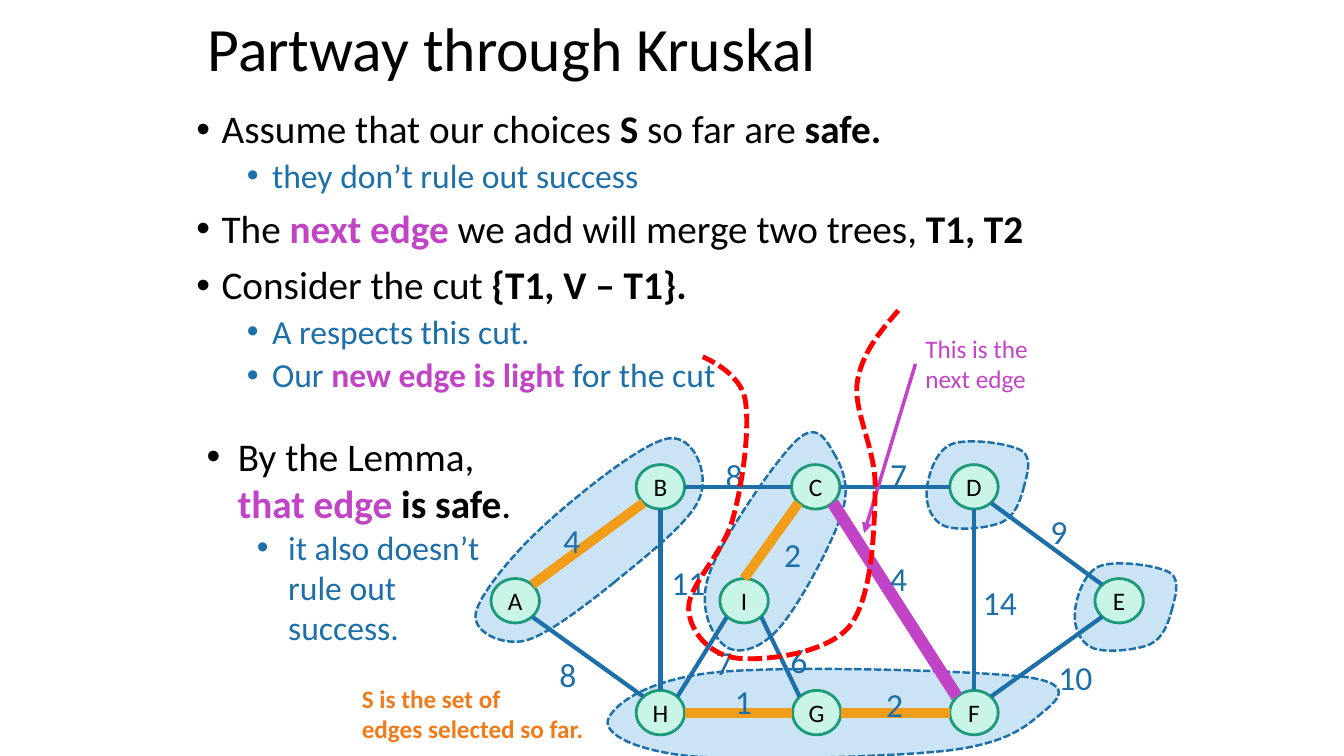
from lxml.etree import SubElement
from pptx import Presentation
from pptx.dml.color import RGBColor
from pptx.enum.dml import MSO_LINE
from pptx.enum.shapes import MSO_CONNECTOR, MSO_SHAPE
from pptx.enum.text import MSO_ANCHOR, PP_ALIGN
from pptx.oxml.ns import qn
from pptx.util import Emu, Pt

PX = 9144  # 100 px to the inch
FONT = "Calibri"
BLACK = RGBColor(0x00, 0x00, 0x00)
BLUE = RGBColor(0x1D, 0x6F, 0xA9)
PALE_BLUE = RGBColor(0xCA, 0xE4, 0xF6)
MINT = RGBColor(0xC8, 0xF5, 0xE8)
GREEN = RGBColor(0x1D, 0x9A, 0x78)
PURPLE = RGBColor(0xC2, 0x44, 0xC6)
AMBER = RGBColor(0xF1, 0x9D, 0x19)
ORANGE = RGBColor(0xF0, 0x7B, 0x1A)
RED = RGBColor(0xFF, 0x00, 0x00)

NODE_W, NODE_H = 48, 44
NODES = {"D": (566, 83), "C": (409, 83), "B": (255, 83), "A": (111, 196), "H": (255, 307),
         "G": (410, 307), "F": (566, 307), "I": (338, 196), "E": (710, 196)}
# Where edges meet a node, from its centre
PORTS = {"n": (0, -22), "s": (0, 22), "w": (-24, 0), "e": (24, 0),
         "nw": (-17, -16), "ne": (17, -16), "sw": (-17, 16), "se": (17, 16)}
PLAIN, CHOSEN, NEXT = (BLUE, 3), (AMBER, 7), (PURPLE, 8.75)
# Start, its port, end, its port, weight, label place, style
EDGES = [
    ("C", "se", "F", "nw", 4, (473, 149), NEXT), ("C", "e", "D", "w", 7, (473, 45), PLAIN),
    ("E", "nw", "D", "se", 9, (632, 102), PLAIN), ("E", "sw", "F", "ne", 10, (640, 247), PLAIN),
    ("D", "s", "F", "n", 14, (565, 172), PLAIN), ("I", "se", "G", "nw", 6, (374, 230), PLAIN),
    ("G", "e", "F", "w", 2, (469, 274), CHOSEN), ("I", "n", "C", "sw", 2, (368, 125), CHOSEN),
    ("B", "e", "C", "w", 8, (310, 46), PLAIN), ("A", "ne", "B", "sw", 4, (149, 111), CHOSEN),
    ("A", "se", "H", "nw", 8, (145, 244), PLAIN), ("G", "w", "H", "e", 1, (319, 271), CHOSEN),
    ("I", "sw", "H", "ne", 7, (300, 232), PLAIN), ("H", "n", "B", "s", 11, (256, 153), PLAIN),
]
# Bézier outlines: a start, then two handles and an end for each piece
SINGLE_TREE = [(52, 10), (55, -2), (62, -21), (50, -28), (38, -35), (-4, -41), (-20, -34), (-36, -27),
               (-43, -1), (-44, 12), (-45, 26), (-39, 42), (-26, 47), (-14, 52), (18, 49), (31, 43),
               (44, 37), (49, 21), (52, 10)]
TREE_IC = [(429, 53), (421, 40), (412, 17), (391, 36), (370, 55), (316, 134), (304, 168), (291, 202),
           (306, 230), (318, 240), (329, 250), (352, 246), (371, 225), (391, 204), (425, 140),
           (434, 112), (444, 84), (436, 66), (429, 53)]
TREE_AB = [(209, 178), (238, 154), (285, 118), (294, 94), (304, 70), (288, 31), (263, 35), (237, 39),
           (173, 91), (141, 120), (110, 148), (76, 189), (72, 208), (68, 227), (97, 240), (119, 236),
           (140, 232), (179, 202), (209, 178)]
TREE_HGF = [(629, 311), (643, 299), (673, 280), (620, 272), (567, 265), (379, 260), (310, 267),
            (240, 274), (208, 300), (203, 314), (199, 328), (228, 344), (283, 350), (338, 355),
            (479, 351), (536, 345), (593, 339), (615, 323), (629, 311)]
CUT = [(211, 8), (193, 29), (174, 51), (170, 81), (167, 111), (190, 148), (188, 188), (187, 229),
       (185, 294), (162, 322), (139, 349), (77, 356), (51, 353), (24, 350), (4, 327), (3, 304),
       (2, 281), (38, 249), (47, 214), (57, 179), (64, 123), (59, 96), (54, 69), (17, 54), (17, 54)]
# Outline, its bounds (left, top, right, bottom), offset in the graph
SINGLE_BOUNDS, CUT_BOUNDS = (-44, -37, 57, 50), (3, 8, 211, 354)
TREES = [(SINGLE_TREE, SINGLE_BOUNDS, 710, 196), (SINGLE_TREE, SINGLE_BOUNDS, 563, 75),
         (TREE_IC, (299, 28, 440, 246), 0, 0), (TREE_AB, (71, 34, 298, 237), 0, 0),
         (TREE_HGF, (203, 263, 651, 352), 0, 0)]

# Level, then runs of text, colour, bold
ARGUMENT = [
    (0, [("Assume that our choices ", BLACK, False), ("S", BLACK, True),
         (" so far are ", BLACK, False), ("safe.", BLACK, True)]),
    (1, [("they don’t rule out success", BLUE, False)]),
    (0, [("The ", BLACK, False), ("next edge ", PURPLE, True),
         ("we add will merge two trees, ", BLACK, False), ("T1, T2", BLACK, True)]),
    (0, [("Consider the cut ", BLACK, False), ("{T1, V – T1}.", BLACK, True)]),
    (1, [("A respects this cut.", BLUE, False)]),
    (1, [("Our ", BLUE, False), ("new edge is light ", PURPLE, True), ("for the cut", BLUE, False)]),
]
CONCLUSION = [
    (0, [("By the Lemma, ", BLACK, False), ("that edge ", PURPLE, True),
         ("is safe", BLACK, True), (".", BLACK, False)]),
    (1, [("it also doesn’t rule out success.", BLUE, False)]),
]


def px(*lengths):
    return [Emu(round(length * PX)) for length in lengths]


def format_run(run, size, color, bold=False):
    run.font.name, run.font.size, run.font.bold = FONT, Pt(size), bold
    run.font.color.rgb = color


def add_text(slide, box, text, size, color, bold=False):
    frame = slide.shapes.add_textbox(*px(*box)).text_frame
    frame.word_wrap = True
    frame.text = text
    for paragraph in frame.paragraphs:
        format_run(paragraph.runs[0], size, color, bold)
    return frame


def add_bullets(slide, box, items, hang, spacing=None, gaps=(0, 0)):
    frame = slide.shapes.add_textbox(*px(*box)).text_frame
    frame.word_wrap = True
    for number, (level, runs) in enumerate(items):
        paragraph = frame.add_paragraph() if number else frame.paragraphs[0]
        paragraph.level = level
        props = paragraph._p.get_or_add_pPr()
        props.set("marL", str((hang + 50 * level) * PX))
        props.set("indent", str(-hang * PX))
        SubElement(props, qn("a:buFont")).set("typeface", "Arial")
        SubElement(props, qn("a:buChar")).set("char", "•")
        paragraph.line_spacing = spacing
        if number:
            paragraph.space_before = Pt(gaps[level])
        for text, color, bold in runs:
            run = paragraph.add_run()
            run.text = text
            format_run(run, 24 if level else 28, color, bold)


def add_line(slide, start, end, color, width, arrow=False):
    line = slide.shapes.add_connector(MSO_CONNECTOR.STRAIGHT, *px(*start, *end))
    line.line.color.rgb, line.line.width = color, Pt(width)
    props = line._element.spPr
    if arrow:
        SubElement(props.find(qn("a:ln")), qn("a:tailEnd")).set("type", "triangle")
    SubElement(props, qn("a:effectLst"))


def paint(shape, fill, color, width):
    shape.shadow.inherit = False
    shape.line.color.rgb, shape.line.width = color, Pt(width)
    if fill is None:
        shape.fill.background()
    else:
        shape.fill.solid()
        shape.fill.fore_color.rgb = fill


def add_dashed_curve(slide, curve, bounds, left, top, color, width, fill=None):
    x0, y0, x1, y1 = bounds
    builder = slide.shapes.build_freeform(*px(left + x0, top + y0))
    builder.add_line_segments([px(left + x1, top + y1)], close=False)
    outline = builder.convert_to_shape()
    path = outline._element.spPr.find(".//" + qn("a:path"))
    del path[:]
    pieces = [curve[i:i + 3] for i in range(1, len(curve), 3)]
    for tag, points in [("a:moveTo", curve[:1])] + [("a:cubicBezTo", piece) for piece in pieces]:
        move = SubElement(path, qn(tag))
        for x, y in points:
            SubElement(move, qn("a:pt"), x=str((x - x0) * PX), y=str((y - y0) * PX))
    if fill is not None:
        SubElement(path, qn("a:close"))
    paint(outline, fill, color, width)
    outline.line.dash_style = MSO_LINE.SQUARE_DOT


def add_node(slide, letter, x, y):
    box = px(x - NODE_W / 2, y - NODE_H / 2, NODE_W, NODE_H)
    node = slide.shapes.add_shape(MSO_SHAPE.OVAL, *box)
    paint(node, MINT, GREEN, 2)
    frame = node.text_frame
    frame.margin_left = frame.margin_right = frame.margin_top = frame.margin_bottom = 0
    frame.vertical_anchor = MSO_ANCHOR.MIDDLE
    frame.text = letter
    frame.paragraphs[0].alignment = PP_ALIGN.CENTER
    format_run(frame.paragraphs[0].runs[0], 18, BLACK)


def add_graph(slide, left, top):
    def port(node, side):
        return [sum(parts) for parts in zip((left, top), NODES[node], PORTS[side])]

    for curve, bounds, dx, dy in TREES:
        add_dashed_curve(slide, curve, bounds, left + dx, top + dy, BLUE, 1.75, PALE_BLUE)
    for letter, (x, y) in NODES.items():
        add_node(slide, letter, left + x, top + y)
    for start, start_side, end, end_side, weight, (x, y), style in EDGES:
        add_line(slide, port(start, start_side), port(end, end_side), *style)
        add_text(slide, (left + x, top + y, 67, 50), str(weight), 24, BLUE)


def add_next_edge_note(slide, left, top):
    add_text(slide, (left, top, 140, 71), "This is the next edge", 18, PURPLE)
    add_line(slide, (left, top + 35), (left - 51, top + 203), PURPLE, 2.5, arrow=True)


def main():
    deck = Presentation()
    deck.slide_width, deck.slide_height = px(1333, 750)
    slide = deck.slides.add_slide(deck.slide_layouts[6])
    title = add_text(slide, (196, -21, 978, 145), "Partway through Kruskal", 44, BLACK)
    title.vertical_anchor = MSO_ANCHOR.MIDDLE
    title.paragraphs[0].line_spacing = 0.9
    add_bullets(slide, (185, 104, 862, 476), ARGUMENT, 25, 0.9, (10, 5))
    add_graph(slide, 400, 400)
    add_text(slide, (349, 673, 251, 71), "S is the set of\nedges selected so far.", 18, ORANGE, True)
    add_next_edge_note(slide, 908, 326)
    add_dashed_curve(slide, CUT, CUT_BOUNDS, 680, 300, RED, 3.5)
    add_bullets(slide, (195, 424, 325, 226), CONCLUSION, 31)
    deck.save("out.pptx")


if __name__ == "__main__":
    main()
